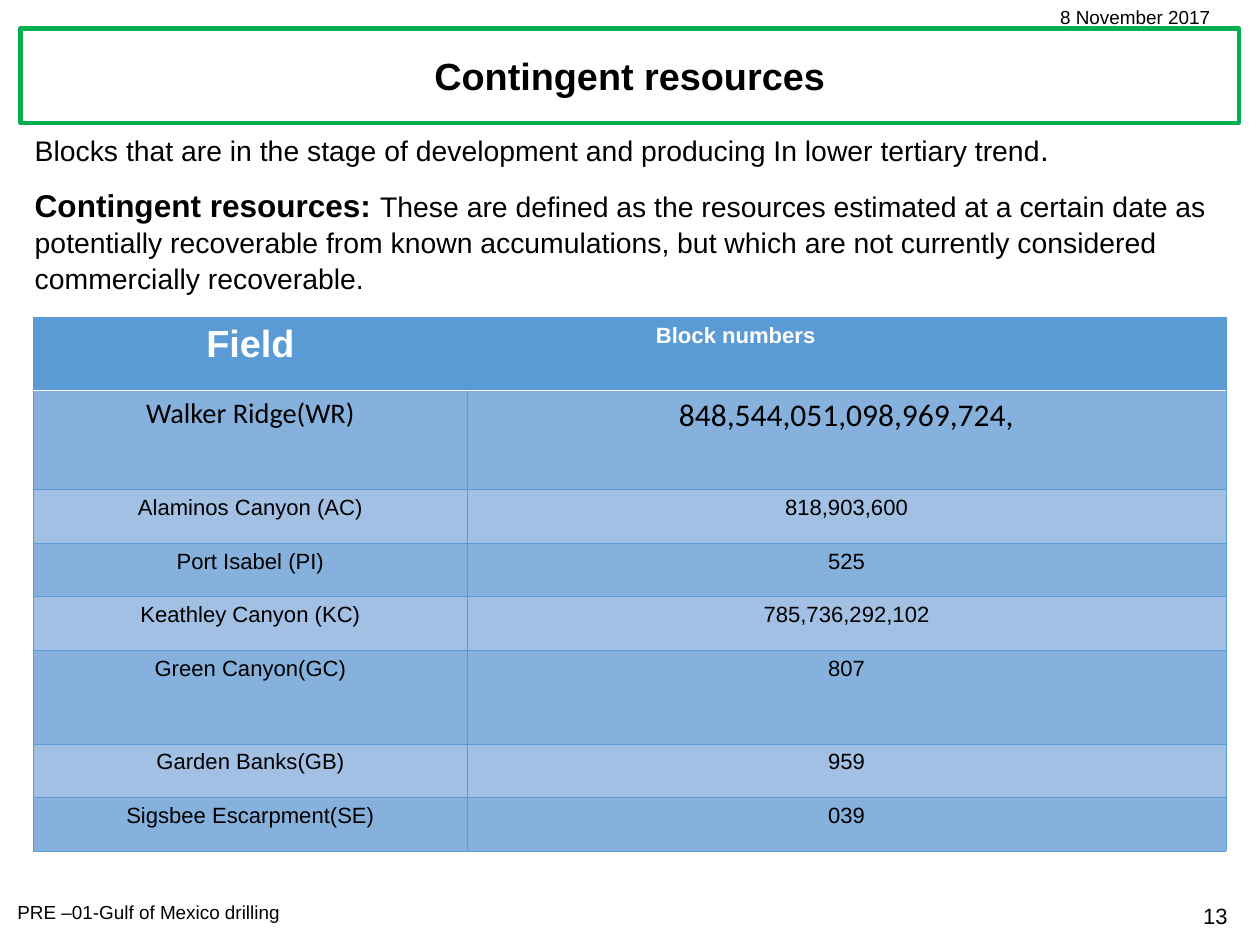
from lxml import etree
from pptx import Presentation
from pptx.dml.color import RGBColor
from pptx.enum.shapes import MSO_SHAPE
from pptx.enum.text import MSO_ANCHOR, PP_ALIGN
from pptx.oxml.ns import qn
from pptx.util import Pt

LEFT, CENTER, RIGHT = PP_ALIGN.LEFT, PP_ALIGN.CENTER, PP_ALIGN.RIGHT
MIDDLE = MSO_ANCHOR.MIDDLE
RECTANGLE = MSO_SHAPE.RECTANGLE

COLORS = {
    "black": "000000",
    "white": "FFFFFF",
    "frame": "00B050",
    "header": "5B9BD5",
    "band_dark": "86B1DC",
    "band_light": "A2BFE4",
}

SMALL = {"size": 12}
NUMBER = {"size": 14}
TITLE = {"size": 24, "bold": True}
BODY = {"size": 18}
TERM = {"size": 20, "bold": True}
STOP = {"size": 20}
CELL = {"size": 14}

INTRO = [
    [("Blocks that are in the stage of development and producing In lower tertiary trend", BODY),
     (".", STOP)],
    [("Contingent resources: ", TERM),
     ("These are defined as the resources estimated at a certain date as potentially "
      "recoverable from known accumulations, but which are not currently considered "
      "commercially recoverable.", BODY)],
]

COLUMN_WIDTHS = [275, 482]
HEADER_FORMATS = [{"size": 24, "bold": True, "color": "white"},
                  {"size": 14, "bold": True, "color": "white"}]
WALKER_FORMATS = [{"size": 18, "name": "Calibri"}, {"size": 20, "name": "Calibri"}]
CELL_FORMATS = [CELL, CELL]
FIELD_ROWS = [
    (46.5, ("Field", "Block numbers"), HEADER_FORMATS),
    (63, ("Walker Ridge(WR)", "848,544,051,098,969,724,"), WALKER_FORMATS),
    (34, ("Alaminos Canyon (AC)", "818,903,600"), CELL_FORMATS),
    (34, ("Port Isabel (PI)", "525"), CELL_FORMATS),
    (34, ("Keathley Canyon (KC)", "785,736,292,102"), CELL_FORMATS),
    (59.5, ("Green Canyon(GC)", "807"), CELL_FORMATS),
    (34, ("Garden Banks(GB)", "959"), CELL_FORMATS),
    (34, ("Sigsbee Escarpment(SE)", "039"), CELL_FORMATS),
]


def rgb(color):
    return RGBColor.from_string(COLORS[color])


def add_run(paragraph, text, text_format):
    run = paragraph.add_run()
    run.text = text
    values = {"name": "Arial", "bold": False, "color": "black", **text_format}
    run.font.color.rgb = rgb(values.pop("color"))
    values["size"] = Pt(values["size"])
    for attribute, value in values.items():
        setattr(run.font, attribute, value)


def add_text(slide, box, paragraphs, **paragraph_format):
    """Add a text box whose paragraphs are lists of (text, format) runs."""
    frame = slide.shapes.add_textbox(*map(Pt, box)).text_frame
    frame.word_wrap = True
    for index, runs in enumerate(paragraphs):
        paragraph = frame.add_paragraph() if index else frame.paragraphs[0]
        for attribute, value in paragraph_format.items():
            setattr(paragraph, attribute, value)
        if index:
            paragraph.space_before = Pt(10)
        for text, text_format in runs:
            add_run(paragraph, text, text_format)


def add_title(slide, box, text):
    shape = slide.shapes.add_shape(RECTANGLE, *map(Pt, box))
    shape.shadow.inherit = False
    shape.fill.solid()
    shape.fill.fore_color.rgb = rgb("white")
    shape.line.color.rgb = rgb("frame")
    shape.line.width = Pt(2.75)
    shape.text_frame.word_wrap = True
    shape.text_frame.vertical_anchor = MIDDLE
    paragraph = shape.text_frame.paragraphs[0]
    paragraph.alignment = CENTER
    add_run(paragraph, text, TITLE)


def set_borders(cell, borders):
    """Draw cell borders from a dict of side tag to (colour, width)."""
    properties = cell._tc.get_or_add_tcPr()
    for index, (side, (color, width)) in enumerate(borders.items()):
        line = etree.Element(qn(f"a:{side}"), w=str(Pt(width)))
        fill = etree.SubElement(line, qn("a:solidFill"))
        etree.SubElement(fill, qn("a:srgbClr"), val=COLORS[color])
        properties.insert(index, line)


def add_field_table(slide, left, top):
    width, height = sum(COLUMN_WIDTHS), sum(row[0] for row in FIELD_ROWS)
    table = slide.shapes.add_table(len(FIELD_ROWS), len(COLUMN_WIDTHS),
                                   *map(Pt, (left, top, width, height))).table
    for column, column_width in zip(table.columns, COLUMN_WIDTHS):
        column.width = Pt(column_width)
    for row_index, (row_height, texts, formats) in enumerate(FIELD_ROWS):
        table.rows[row_index].height = Pt(row_height)
        band = "band_dark" if row_index % 2 else "band_light"
        for column_index, (text, text_format) in enumerate(zip(texts, formats)):
            cell = table.cell(row_index, column_index)
            cell.fill.solid()
            cell.fill.fore_color.rgb = rgb(band if row_index else "header")
            borders = dict.fromkeys(("lnL", "lnR", "lnT", "lnB"), ("header", 0.5))
            if row_index < 2:
                borders["lnT" if row_index else "lnB"] = ("white", 1)
            set_borders(cell, borders)
            paragraph = cell.text_frame.paragraphs[0]
            paragraph.alignment = CENTER
            add_run(paragraph, text, text_format)
    block_header = table.cell(0, 1)
    block_header.margin_left = Pt(120)
    block_header.text_frame.paragraphs[0].alignment = LEFT


def add_page_marks(slide, width, height):
    """Place the date at the top and the footer and page number at the bottom."""
    add_text(slide, (width - 134, 0, 121, 21.5), [[("8 November 2017", SMALL)]])
    add_text(slide, (4, height - 32, 308, 21.5), [[("PRE –01-Gulf of Mexico drilling", SMALL)]])
    add_text(slide, (width - 123, height - 30.5, 109.5, 24.5), [[("13", NUMBER)]],
             alignment=RIGHT)


def main():
    presentation = Presentation()
    width, height = 800, 600
    presentation.slide_width, presentation.slide_height = Pt(width), Pt(height)
    slide = presentation.slides.add_slide(presentation.slide_layouts[6])
    add_title(slide, (13, 18, 773.5, 60), "Contingent resources")
    add_page_marks(slide, width, height)
    add_text(slide, (15, 78, 770, 462), INTRO, line_spacing=1.05)
    add_field_table(slide, 21.5, 201.5)
    presentation.save("out.pptx")


if __name__ == "__main__":
    main()
